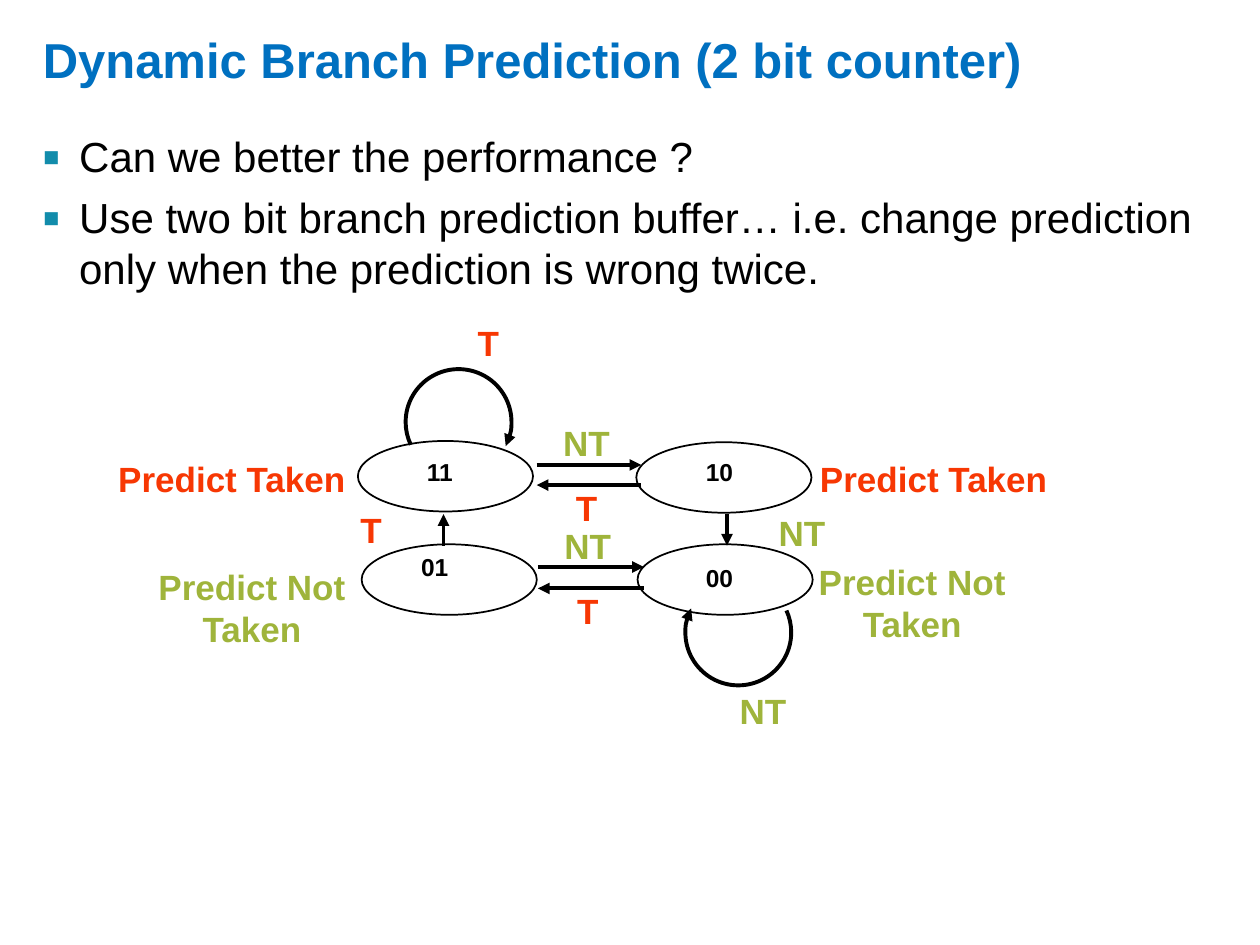
from lxml import etree
from pptx import Presentation
from pptx.dml.color import RGBColor
from pptx.enum.shapes import MSO_CONNECTOR, MSO_SHAPE
from pptx.enum.text import MSO_ANCHOR, PP_ALIGN
from pptx.oxml.ns import qn
from pptx.util import Inches, Pt

OVAL, ARC = MSO_SHAPE.OVAL, MSO_SHAPE.ARC
STRAIGHT = MSO_CONNECTOR.STRAIGHT
MIDDLE, TOP = MSO_ANCHOR.MIDDLE, MSO_ANCHOR.TOP
LEFT, CENTER = PP_ALIGN.LEFT, PP_ALIGN.CENTER

BLUE = RGBColor(0x00, 0x70, 0xC0)
BLACK = RGBColor(0x00, 0x00, 0x00)
TAKEN = RGBColor(0xF7, 0x37, 0x03)
NOT_TAKEN = RGBColor(0x9F, 0xB4, 0x3B)
BULLET_COLOR = "128CAB"
FONT = "Arial"

TITLE = "Dynamic Branch Prediction (2 bit counter)"
BULLETS = [
    "Can we better the performance ?",
    "Use two bit branch prediction buffer… i.e. change prediction "
    "only when the prediction is wrong twice.",
]

STATE_SIZE = (1.39, 0.56)
STATES = [
    ("11", (2.84, 3.5), (3.25, 3.58)),
    ("10", (5.05, 3.51), (5.47, 3.58)),
    ("01", (2.87, 4.32), (3.21, 4.33)),
    ("00", (5.06, 4.32), (5.47, 4.42)),
]
PREDICTIONS = [
    (["Predict Taken"], TAKEN, (0.83, 3.58, 2.02, 0.43)),
    (["Predict Taken"], TAKEN, (6.4, 3.58, 2.02, 0.43)),
    (["Predict Not", "Taken"], NOT_TAKEN, (1.12, 4.44, 1.76, 0.76)),
    (["Predict Not", "Taken"], NOT_TAKEN, (6.36, 4.4, 1.76, 0.76)),
]
OUTCOMES = {
    "T": (TAKEN, 0.37, [(3.69, 2.5), (2.76, 3.99), (4.47, 3.81), (4.48, 4.63)]),
    "NT": (NOT_TAKEN, 0.57, [(6.08, 4.01), (5.77, 5.42), (4.37, 3.3), (4.38, 4.11)]),
}
TRANSITIONS = [
    (4.26, 3.69, 5.09, 3.69),
    (5.09, 3.85, 4.26, 3.85),
    (4.27, 4.5, 5.11, 4.5),
    (5.11, 4.67, 4.27, 4.67),
    (3.52, 4.33, 3.52, 4.08),
    (5.77, 4.08, 5.77, 4.33),
]
LOOP_RADIUS = 0.42
LOOPS = [((3.64, 3.35), 154.5, 27), ((5.86, 5.02), 335.5, 207)]


def box(left, top, width, height):
    return [Inches(value) for value in (left, top, width, height)]


def write(frame, lines, size, color, bold=True, align=CENTER, anchor=TOP, wrap=False):
    frame.word_wrap = wrap
    frame.vertical_anchor = anchor
    for index, line in enumerate(lines):
        paragraph = frame.paragraphs[0] if index == 0 else frame.add_paragraph()
        paragraph.alignment = align
        run = paragraph.add_run()
        run.text = line
        run.font.name = FONT
        run.font.size = Pt(size)
        run.font.bold = bold
        run.font.color.rgb = color


def add_label(slide, position, lines, size, color):
    write(slide.shapes.add_textbox(*box(*position)).text_frame, lines, size, color)


def add_bullet(paragraph):
    paragraph.space_before = Pt(6)
    properties = paragraph._p.get_or_add_pPr()
    properties.set("marL", str(Inches(0.29)))
    properties.set("indent", str(-Inches(0.29)))
    color = etree.SubElement(properties, qn("a:buClr"))
    etree.SubElement(color, qn("a:srgbClr"), val=BULLET_COLOR)
    etree.SubElement(properties, qn("a:buSzPct"), val="125000")
    etree.SubElement(properties, qn("a:buFont"), typeface=FONT)
    etree.SubElement(properties, qn("a:buChar"), char="▪")


def draw_arrow(shape):
    shape.line.color.rgb = BLACK
    shape.line.width = Pt(2.25)
    etree.SubElement(shape.line._get_or_add_ln(), qn("a:tailEnd"), type="triangle")


def add_transition(slide, ends):
    connector = slide.shapes.add_connector(STRAIGHT, *box(*ends))
    draw_arrow(connector)
    etree.SubElement(connector._element.spPr, qn("a:effectLst"))


def add_loop(slide, center, start, end):
    corner = [value - LOOP_RADIUS for value in center]
    loop = slide.shapes.add_shape(ARC, *box(*corner, 2 * LOOP_RADIUS, 2 * LOOP_RADIUS))
    loop.adjustments[0] = start * 0.6
    loop.adjustments[1] = end * 0.6
    loop.fill.background()
    draw_arrow(loop)
    loop.shadow.inherit = False


def add_state(slide, corner):
    state = slide.shapes.add_shape(OVAL, *box(*corner, *STATE_SIZE))
    state.shadow.inherit = False
    state.fill.background()
    state.line.color.rgb = BLACK
    state.line.width = Pt(1)


def main():
    presentation = Presentation()
    presentation.slide_width, presentation.slide_height = Inches(10), Inches(7.5)
    slide = presentation.slides.add_slide(presentation.slide_layouts[5])

    title = slide.shapes.title
    title.left, title.top, title.width, title.height = box(0.24, 0.01, 9.6, 0.92)
    write(title.text_frame, [TITLE], 28, BLUE, align=LEFT, anchor=MIDDLE)

    body = slide.shapes.add_textbox(*box(0.24, 0.99, 9.6, 5.99)).text_frame
    write(body, BULLETS, 24, BLACK, bold=False, align=LEFT, wrap=True)
    for paragraph in body.paragraphs:
        add_bullet(paragraph)

    for lines, color, position in PREDICTIONS:
        add_label(slide, position, lines, 20, color)
    for name, corner, label_corner in STATES:
        add_state(slide, corner)
    for loop in LOOPS:
        add_loop(slide, *loop)
    for ends in TRANSITIONS:
        add_transition(slide, ends)
    for outcome, (color, width, corners) in OUTCOMES.items():
        for corner in corners:
            add_label(slide, (*corner, width, 0.43), [outcome], 20, color)
    for name, corner, label_corner in STATES:
        add_label(slide, (*label_corner, 0.48, 0.4), [name], 14, BLACK)

    presentation.save("out.pptx")


if __name__ == "__main__":
    main()
